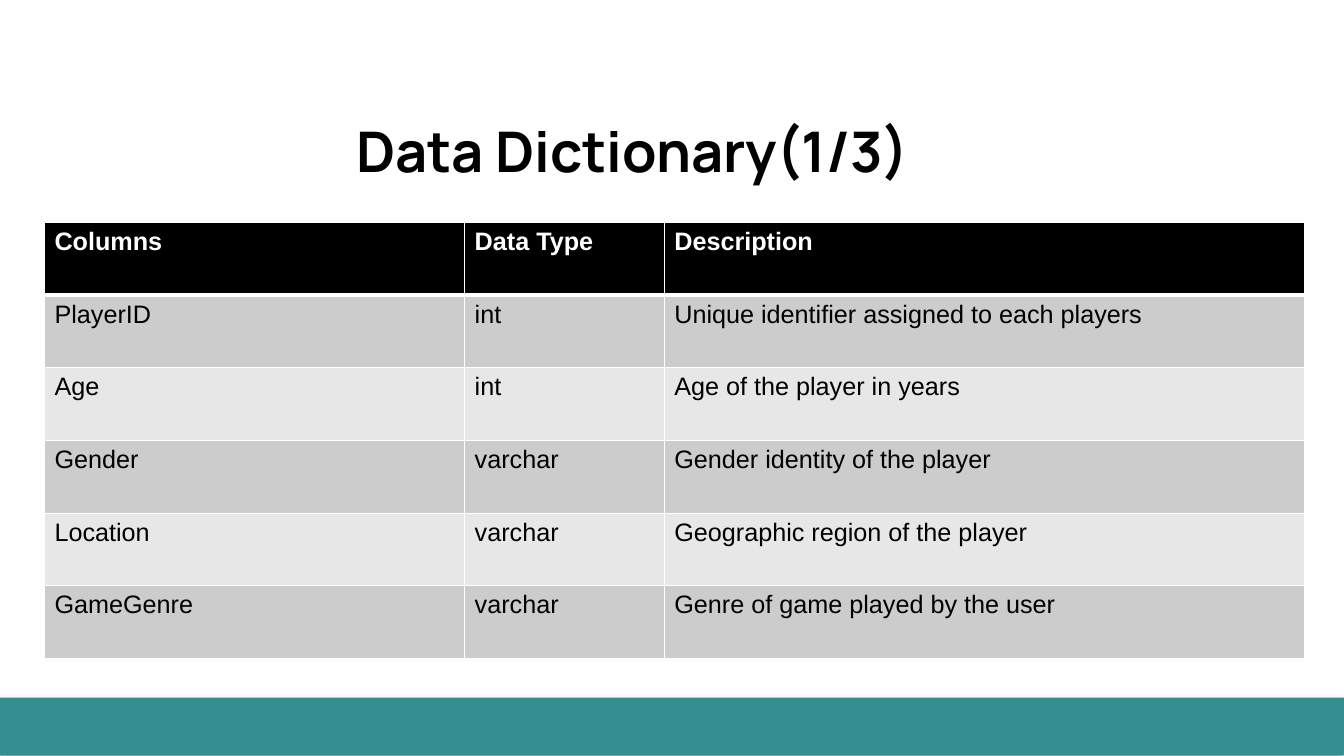
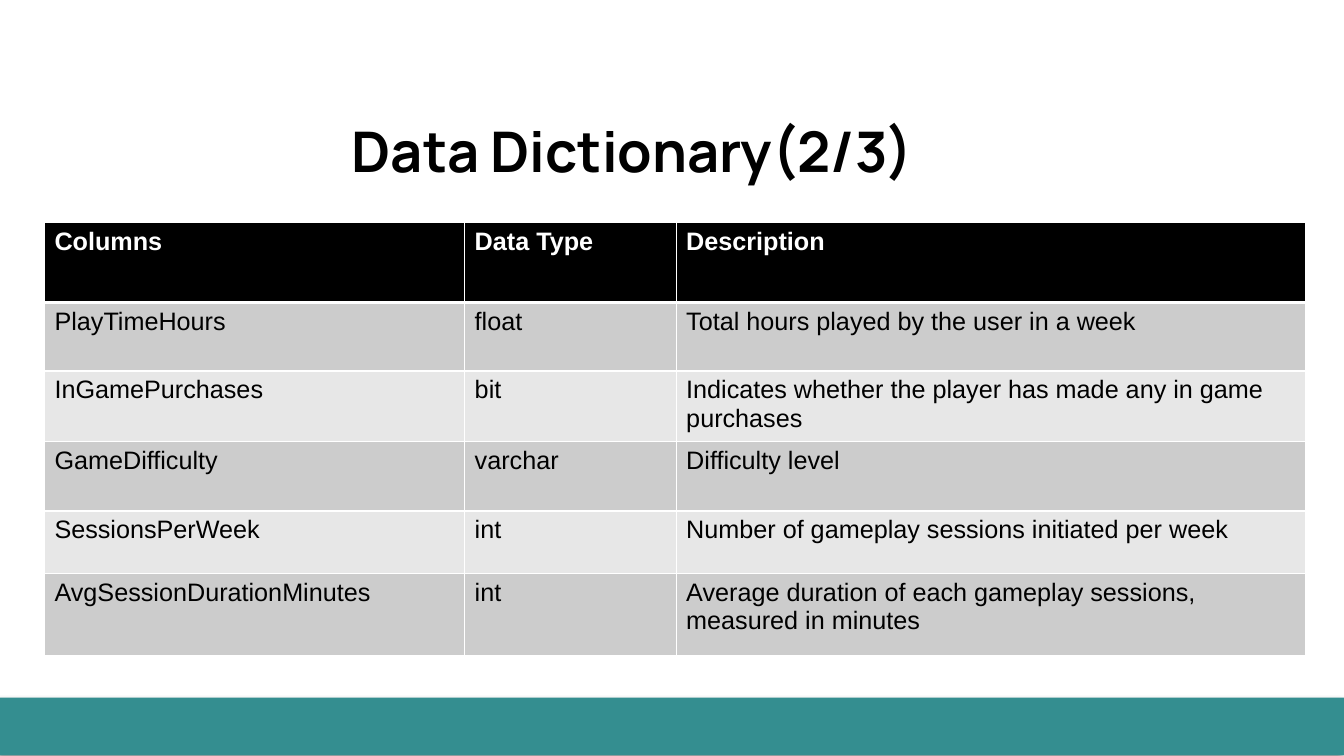
from lxml.etree import SubElement as Sub
from pptx import Presentation
from pptx.dml.color import RGBColor as RGB
from pptx.enum.shapes import MSO_SHAPE as Shape
from pptx.enum.text import MSO_ANCHOR as Anchor, PP_ALIGN as Align
from pptx.oxml.ns import qn
from pptx.util import Cm, Pt

HUES = {"band": "348E90", "head": "000000", "odd": "CCCCCC",
        "even": "E7E7E7", "ink": "000000", "pale": "FFFFFF"}
WIDE, HIGH = 33.87, 19.05
LEFT, TOP = 1.12, 5.61
HEAD = ("Columns", "Data Type", "Description")
PAGES = [
    {
        "title": "Data Dictionary(1/3)",
        "cols": (10.59, 5.03, 16.15),
        "rows": (1.83,) * 6,
        "data": [
            ("PlayerID", "int", "Unique identifier assigned to each players"),
            ("Age", "int", "Age of the player in years"),
            ("Gender", "varchar", "Gender identity of the player"),
            ("Location", "varchar", "Geographic region of the player"),
            ("GameGenre", "varchar", "Genre of game played by the user"),
        ],
    },
    {
        "title": "Data Dictionary(2/3)",
        "cols": (10.59, 5.33, 15.85),
        "rows": (2.01, 1.73, 1.69, 1.75, 1.57, 2.08),
        "data": [
            ("PlayTimeHours", "float", "Total hours played by the user in a week"),
            ("InGamePurchases", "bit",
             "Indicates whether the player has made any in game purchases"),
            ("GameDifficulty", "varchar", "Difficulty level"),
            ("SessionsPerWeek", "int", "Number of gameplay sessions initiated per week"),
            ("AvgSessionDurationMinutes", "int",
             "Average duration of each gameplay sessions, measured in minutes"),
        ],
    },
]


def hue(name):
    return RGB.from_string(HUES[name])


def write(frame, text, size=18, face="Arial", ink="ink", bold=False, align=Align.LEFT):
    par = frame.paragraphs[0]
    par.alignment = align
    run = par.add_run()
    run.text = text
    font = run.font
    font.size, font.name, font.bold = Pt(size), face, bold
    font.color.rgb = hue(ink)


def add_band(slide):
    band = slide.shapes.add_shape(Shape.RECTANGLE, 0, Cm(17.58), Cm(WIDE), Cm(1.45))
    band.fill.solid()
    band.fill.fore_color.rgb = hue("band")
    band.line.fill.background()
    band.shadow.inherit = False
    glow = band._element.spPr.find(qn("a:effectLst"))
    shade = Sub(glow, qn("a:outerShdw"), blurRad=str(Pt(4)), dist=str(Pt(3)),
                dir=str(135 * 60000), rotWithShape="0")
    tone = Sub(shade, qn("a:srgbClr"), val=HUES["ink"])
    Sub(tone, qn("a:alpha"), val="40000")


def add_title(slide, text):
    frame = slide.shapes.add_textbox(Cm(LEFT), 0, Cm(29.64), Cm(4.88)).text_frame
    frame.word_wrap = True
    frame.vertical_anchor = Anchor.BOTTOM
    frame.margin_left = frame.margin_right = Cm(0.25)
    frame.margin_top = frame.margin_bottom = Cm(0.25)
    write(frame, text, size=40, face="Manrope", bold=True, align=Align.CENTER)


def add_edges(cell, row):
    thick = {"T": 3 if row == 1 else 1, "B": 3 if row == 0 else 1}
    props = cell._tc.get_or_add_tcPr()
    for side in "LRTB":
        edge = Sub(props, qn("a:ln" + side), w=str(Pt(thick.get(side, 1))))
        fill = Sub(edge, qn("a:solidFill"))
        Sub(fill, qn("a:srgbClr"), val=HUES["pale"])


def add_grid(slide, cols, rows, data):
    lines = [HEAD, *data]
    grid = slide.shapes.add_table(len(lines), len(cols), Cm(LEFT), Cm(TOP),
                                  Cm(sum(cols)), Cm(sum(rows))).table
    grid.horz_banding = False
    for col, width in zip(grid.columns, cols):
        col.width = Cm(width)
    for r, (line, height) in enumerate(zip(lines, rows)):
        grid.rows[r].height = Cm(height)
        top = r == 0
        back = "head" if top else "odd" if r % 2 else "even"
        for c, text in enumerate(line):
            cell = grid.cell(r, c)
            add_edges(cell, r)
            cell.fill.solid()
            cell.fill.fore_color.rgb = hue(back)
            write(cell.text_frame, text, ink="pale" if top else "ink", bold=top)


def main():
    deck = Presentation()
    deck.slide_width, deck.slide_height = Cm(WIDE), Cm(HIGH)
    for page in PAGES:
        slide = deck.slides.add_slide(deck.slide_layouts[6])
        add_band(slide)
        add_title(slide, page["title"])
        add_grid(slide, page["cols"], page["rows"], page["data"])
    deck.save("out.pptx")


if __name__ == "__main__":
    main()
